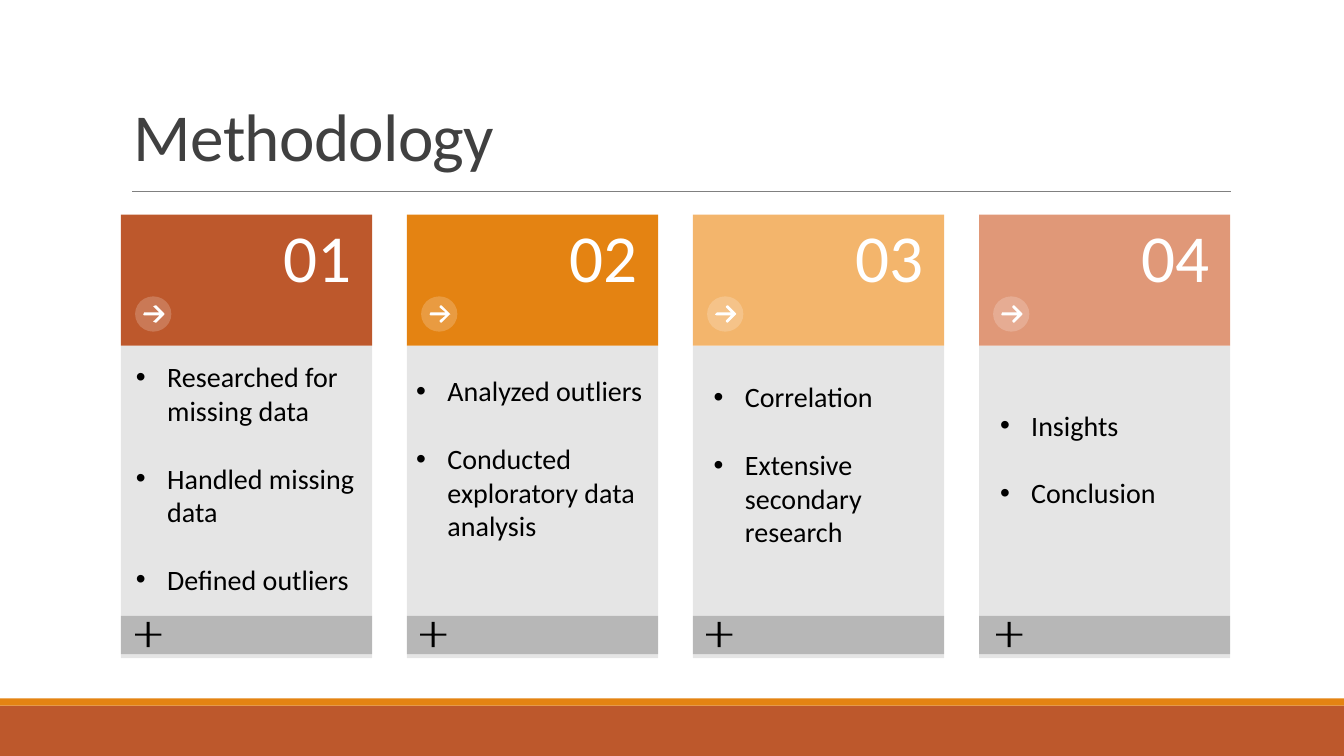
import pptx
import pptx.dml.color
import pptx.enum.shapes
import pptx.enum.text
import pptx.oxml.ns
import pptx.util
from lxml import etree

Inches = pptx.util.Inches
Pt = pptx.util.Pt
RGBColor = pptx.dml.color.RGBColor
Kind = pptx.enum.shapes.MSO_SHAPE
Anchor = pptx.enum.text.MSO_ANCHOR
Align = pptx.enum.text.PP_ALIGN
qn = pptx.oxml.ns.qn

RUST = RGBColor(0xBD, 0x58, 0x2C)
ORANGE = RGBColor(0xE4, 0x83, 0x12)
SAND = RGBColor(0xF3, 0xB5, 0x6C)
SALMON = RGBColor(0xE0, 0x98, 0x78)
WHITE = RGBColor(0xFF, 0xFF, 0xFF)
BLACK = RGBColor(0, 0, 0)
DARK = RGBColor(0x40, 0x40, 0x40)
GREY = RGBColor(0x80, 0x80, 0x80)

TITLE = "Methodology"
CARDS = [
    {"num": "01", "fill": RUST, "plus": 0.14, "box": (0.83, 3.52, 2.88, 2.46),
     "items": ["Researched for missing data", "Handled missing data", "Defined outliers"]},
    {"num": "02", "fill": ORANGE, "plus": 0.13, "box": (3.61, 3.66, 2.95, 1.78),
     "items": ["Analyzed outliers", "Conducted exploratory data analysis"]},
    {"num": "03", "fill": SAND, "plus": 0.13, "box": (6.56, 3.72, 2.75, 1.78),
     "items": ["Correlation", "Extensive secondary research"]},
    {"num": "04", "fill": SALMON, "plus": 0.17, "box": (9.4, 4, 2.8, 1.11),
     "items": ["Insights", "Conclusion"]},
]
ARROW = [(11.5, 17), (10.5, 16.2), (10.7, 15), (16, 10), (1.2, 10), (0, 8.6),
         (1.2, 7.2), (16, 7.2), (10.7, 2), (10.5, 0.8), (11.5, 0), (12.6, 0),
         (20.6, 7.7), (21, 8.6), (20.6, 9.5), (12.6, 17)]
LEFT, WIDE = 1.2, 2.49
STEP = (9.71 - LEFT) / 3

HEAD = {"alignment": Align.RIGHT, "line_spacing": 0.9, "space_after": Pt(2)}
NUM = {"size": Pt(48), "name": "Calibri"}
BODY = {"size": Pt(20), "name": "Calibri"}
INSET = {"margin_left": Inches(0.2), "margin_top": Inches(0.1),
         "margin_right": Inches(0.2), "margin_bottom": Inches(0.2),
         "vertical_anchor": Anchor.TOP, "word_wrap": True}


def apply(part, vals):
    for key, val in vals.items():
        setattr(part, key, val)


def paint(shape, color, alpha=100):
    shape.shadow.inherit = False
    shape.line.fill.background()
    shape.fill.solid()
    shape.fill.fore_color.rgb = color
    if alpha < 100:
        tint = shape.fill._xPr.find(qn("a:solidFill"))[0]
        etree.SubElement(tint, qn("a:alpha")).set("val", str(alpha * 1000))


def draw(kind, box, color, alpha=100):
    shape = shapes.add_shape(kind, *map(Inches, box))
    paint(shape, color, alpha)
    return shape


def write(para, text, font, color):
    run = para.add_run()
    run.text = text
    apply(run.font, font)
    run.font.color.rgb = color
    return run


def bullet(para):
    props = para._p.get_or_add_pPr()
    props.set("marL", str(Inches(0.73)))
    props.set("indent", str(Inches(-0.31)))
    etree.SubElement(props, qn("a:buFont")).set("typeface", "Arial")
    etree.SubElement(props, qn("a:buChar")).set("char", "•")


def point(left, top):
    unit = Inches(0.01)
    path = [(left * 100 + x, top * 100 + y) for x, y in ARROW]
    form = shapes.build_freeform(*path[0], scale=unit)
    form.add_line_segments(path[1:], close=True)
    paint(form.convert_to_shape(), WHITE)


def card(left, data):
    draw(Kind.RECTANGLE, (left, 3.43, WIDE, 3.1), BLACK, 10)
    head = draw(Kind.RECTANGLE, (left, 2.13, WIDE, 1.3), data["fill"])
    apply(head.text_frame, INSET)
    para = head.text_frame.paragraphs[0]
    apply(para, HEAD)
    write(para, data["num"], NUM, WHITE)
    draw(Kind.OVAL, (left + 0.14, 2.94, 0.36, 0.35), WHITE, 20)
    point(left + 0.22, 3.03)
    draw(Kind.RECTANGLE, (left, 6.11, WIDE, 0.38), BLACK, 20)
    plus = draw(Kind.CROSS, (left + data["plus"], 6.17, 0.26, 0.25), BLACK)
    plus.adjustments[0] = 0.46
    frame = shapes.add_textbox(*map(Inches, data["box"])).text_frame
    frame.word_wrap = True
    for i, item in enumerate(data["items"]):
        para = frame.add_paragraph() if i else frame.paragraphs[0]
        para.space_before = Pt(24.4 if i else 0)
        bullet(para)
        write(para, item, BODY, BLACK)


deck = pptx.Presentation()
deck.slide_width, deck.slide_height = Inches(13.33), Inches(7.5)
shapes = deck.slides.add_slide(deck.slide_layouts[6]).shapes

draw(Kind.RECTANGLE, (0, 7, 13.33, 0.5), RUST)
draw(Kind.RECTANGLE, (0, 6.93, 13.33, 0.07), ORANGE)
rule = shapes.add_connector(pptx.enum.shapes.MSO_CONNECTOR.STRAIGHT,
                            *map(Inches, (1.31, 1.9, 12.21, 1.9)))
rule.line.color.rgb = GREY
rule.line.width = Pt(0.5)
etree.SubElement(rule._element.spPr, qn("a:effectLst"))

frame = shapes.add_textbox(*map(Inches, (1.23, 0.2, 11, 1.59))).text_frame
apply(frame, {"word_wrap": True, "vertical_anchor": Anchor.BOTTOM})
frame.paragraphs[0].line_spacing = 0.85
name = write(frame.paragraphs[0], TITLE, NUM, DARK)
name._r.get_or_add_rPr().set("spc", "-50")

for i, data in enumerate(CARDS):
    card(LEFT + i * STEP, data)

deck.save("out.pptx")
